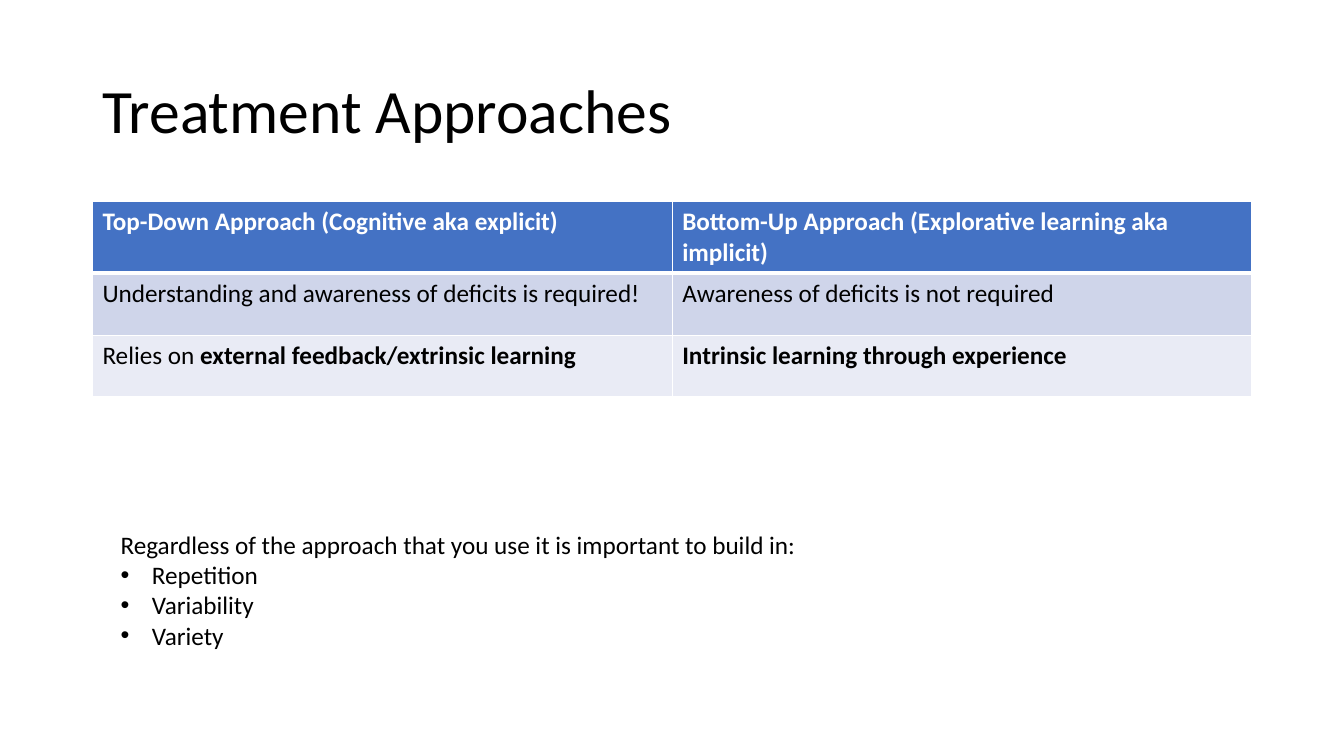
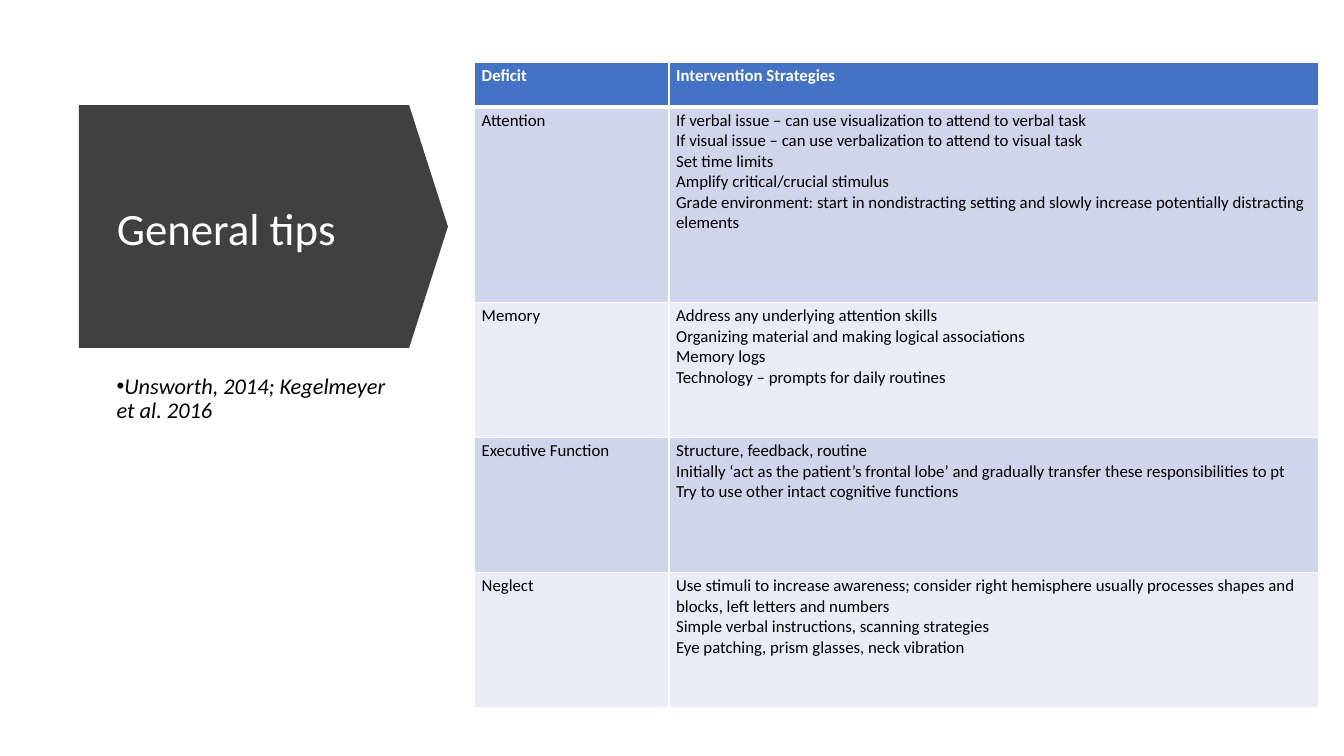
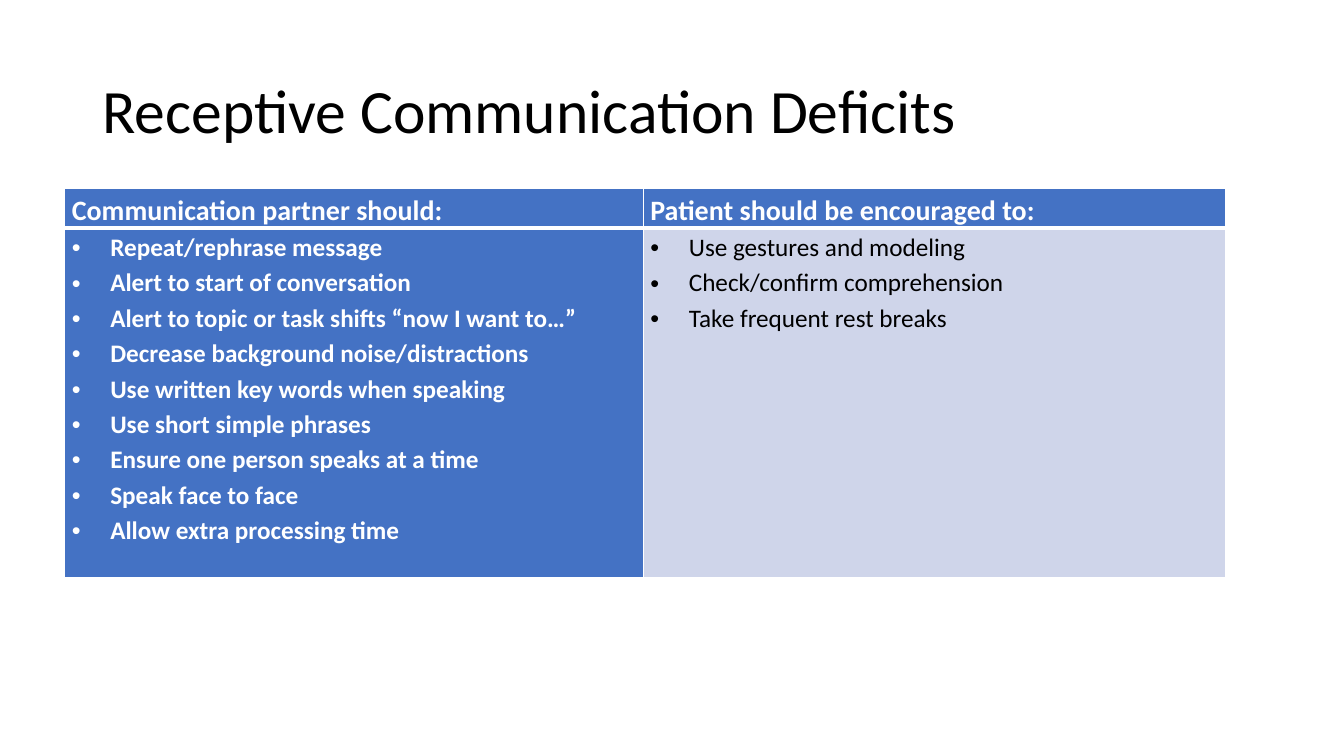
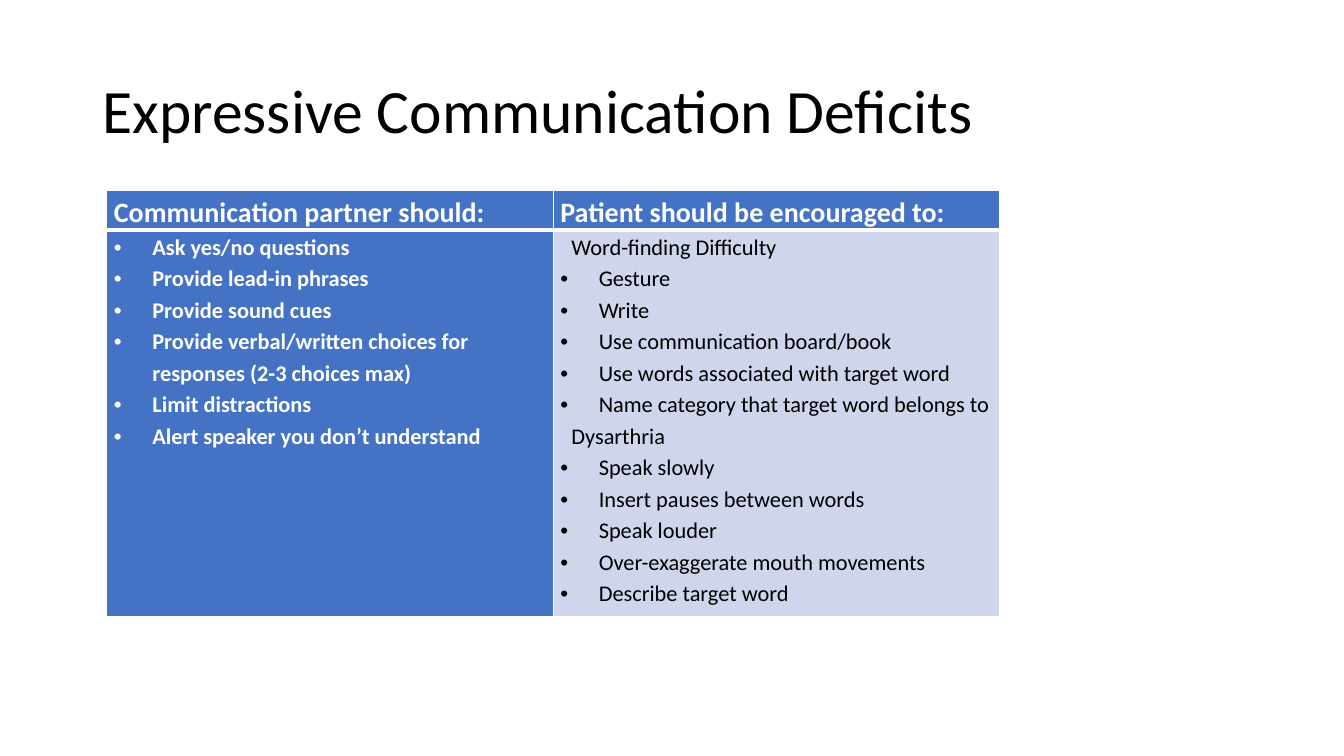
from lxml.etree import SubElement
from pptx import Presentation
from pptx.dml.color import RGBColor
from pptx.enum.shapes import MSO_SHAPE
from pptx.enum.text import MSO_ANCHOR, MSO_AUTO_SIZE, PP_ALIGN
from pptx.oxml import parse_xml
from pptx.oxml.ns import nsdecls, qn
from pptx.util import Cm, Pt

BLACK = RGBColor(0x00, 0x00, 0x00)
WHITE = RGBColor(0xFF, 0xFF, 0xFF)
CHARCOAL = RGBColor(0x40, 0x40, 0x40)
BLUE = RGBColor(0x44, 0x72, 0xC4)
BAND_DARK = RGBColor(0xCF, 0xD5, 0xEA)
BAND_LIGHT = RGBColor(0xE9, 0xEB, 0xF5)

FONT = "Calibri"
TITLE_BOX = (2.33, 1.01, 29.21, 3.68)
TITLE_ONLY = 5
COMPACT_MARGINS = (0.18, 0.09)
FLAT_MARGINS = (0.18, 0)
HANGING = (0.97, -0.97)
SUBHEADING = (0.28, 0)

APPROACHES = [
    ["Top-Down Approach (Cognitive aka explicit)",
     "Bottom-Up Approach (Explorative learning aka implicit)"],
    ["Understanding and awareness of deficits is required!",
     "Awareness of deficits is not required"],
    [[("Relies on ", False), ("external feedback/extrinsic learning", True)],
     [("Intrinsic learning through experience", True)]],
]

STRATEGIES = {
    "Attention": [
        "If verbal issue – can use visualization to attend to verbal task",
        "If visual issue – can use verbalization to attend to visual task",
        "Set time limits",
        "Amplify critical/crucial stimulus",
        "Grade environment: start in nondistracting setting and slowly increase "
        "potentially distracting elements",
    ],
    "Memory": [
        "Address any underlying attention skills",
        "Organizing material and making logical associations",
        "Memory logs",
        "Technology – prompts for daily routines",
    ],
    "Executive Function": [
        "Structure, feedback, routine",
        "Initially ‘act as the patient’s frontal lobe’ and gradually transfer "
        "these responsibilities to pt",
        "Try to use other intact cognitive functions",
    ],
    "Neglect": [
        "Use stimuli to increase awareness; consider right hemisphere usually "
        "processes shapes and blocks, left letters and numbers",
        "Simple verbal instructions, scanning strategies",
        "Eye patching, prism glasses, neck vibration",
    ],
}

RECEPTIVE_PARTNER = [
    "Repeat/rephrase message",
    "Alert to start of conversation",
    "Alert to topic or task shifts “now I want to…”",
    "Decrease background noise/distractions",
    "Use written key words when speaking",
    "Use short simple phrases",
    "Ensure one person speaks at a time",
    "Speak face to face",
    "Allow extra processing time",
]
RECEPTIVE_PATIENT = {
    "": ["Use gestures and modeling", "Check/confirm comprehension", "Take frequent rest breaks"],
}
EXPRESSIVE_PARTNER = [
    "Ask yes/no questions",
    "Provide lead-in phrases",
    "Provide sound cues",
    "Provide verbal/written choices for responses (2-3 choices max)",
    "Limit distractions",
    "Alert speaker you don’t understand",
]
EXPRESSIVE_PATIENT = {
    "Word-finding Difficulty": [
        "Gesture",
        "Write",
        "Use communication board/book",
        "Use words associated with target word",
        "Name category that target word belongs to",
    ],
    "Dysarthria": [
        "Speak slowly",
        "Insert pauses between words",
        "Speak louder",
        "Over-exaggerate mouth movements",
        "Describe target word",
    ],
}


def apply_format(target, values):
    for name, value in values.items():
        setattr(target, name, value)


def write_paragraph(paragraph, content, size, color=BLACK, bold=False, italic=False,
                    indent=None, bullet=False, **spacing):
    apply_format(paragraph, {"alignment": PP_ALIGN.LEFT, **spacing})
    runs = [(content, bold)] if isinstance(content, str) else content
    for text, run_bold in runs:
        run = paragraph.add_run()
        run.text = text
        apply_format(run.font, {"name": FONT, "size": Pt(size), "bold": run_bold, "italic": italic})
        run.font.color.rgb = color
    properties = paragraph._p.get_or_add_pPr()
    if indent:
        for name, length in zip(("marL", "indent"), indent):
            properties.set(name, str(Cm(length)))
    if bullet:
        SubElement(properties, qn("a:buFont")).set("typeface", "Arial")
        SubElement(properties, qn("a:buChar")).set("char", "•")


def write_text(frame, paragraphs, **style):
    for index, item in enumerate(paragraphs):
        paragraph = frame.paragraphs[0] if index == 0 else frame.add_paragraph()
        content, own_style = item if isinstance(item, tuple) else (item, {})
        write_paragraph(paragraph, content, **{**style, **own_style})


def add_titled_slide(presentation, title, box=TITLE_BOX, size=44, color=BLACK):
    slide = presentation.slides.add_slide(presentation.slide_layouts[TITLE_ONLY])
    placeholder = slide.shapes.title
    apply_format(placeholder, dict(zip(("left", "top", "width", "height"), map(Cm, box))))
    apply_format(placeholder.text_frame, {
        "vertical_anchor": MSO_ANCHOR.MIDDLE, "word_wrap": True, "auto_size": MSO_AUTO_SIZE.NONE})
    write_text(placeholder.text_frame, [title], size=size, color=color, line_spacing=0.9)
    return slide


def add_text(slide, box, paragraphs, **style):
    frame = slide.shapes.add_textbox(*map(Cm, box)).text_frame
    frame.word_wrap = True
    write_text(frame, paragraphs, **style)


def set_borders(cell, row_index):
    thick, thin = Pt(3), Pt(1)
    widths = {
        "lnL": thin,
        "lnR": thin,
        "lnT": thick if row_index == 1 else thin,
        "lnB": thick if row_index == 0 else thin,
    }
    properties = cell._tc.get_or_add_tcPr()
    for position, (side, width) in enumerate(widths.items()):
        properties.insert(position, parse_xml(
            f'<a:{side} {nsdecls("a")} w="{width}"><a:solidFill>'
            f'<a:srgbClr val="{WHITE}"/></a:solidFill></a:{side}>'))


def add_table(slide, corner, widths, heights, rows, size, header_style=None, body_style=None,
              margins=None, blue_first_column=False):
    box = (*corner, sum(widths), sum(heights))
    table = slide.shapes.add_table(len(heights), len(widths), *map(Cm, box)).table
    apply_format(table, {"first_row": False, "horz_banding": False})
    for column, width in zip(table.columns, widths):
        column.width = Cm(width)
    for row_index, (row, height, contents) in enumerate(zip(table.rows, heights, rows)):
        row.height = Cm(height)
        for column_index, (cell, content) in enumerate(zip(row.cells, contents)):
            is_header = row_index == 0
            is_blue = is_header or (blue_first_column and column_index == 0)
            cell.fill.solid()
            cell.fill.fore_color.rgb = BLUE if is_blue else (BAND_LIGHT, BAND_DARK)[row_index % 2]
            if margins:
                horizontal, vertical = map(Cm, margins)
                apply_format(cell, {"margin_left": horizontal, "margin_right": horizontal,
                                    "margin_top": vertical, "margin_bottom": vertical})
            set_borders(cell, row_index)
            style = {"size": size, "color": WHITE if is_blue else BLACK, "bold": is_blue}
            style.update((header_style if is_header else body_style) or {})
            is_runs = isinstance(content, list) and isinstance(content[0], tuple) \
                and isinstance(content[0][1], bool)
            paragraphs = [content] if isinstance(content, str) or is_runs else content
            write_text(cell.text_frame, paragraphs, **style)


def add_arrow_panel(slide, box, point_ratio):
    panel = slide.shapes.add_shape(MSO_SHAPE.PENTAGON, *map(Cm, box))
    panel.adjustments[0] = point_ratio
    panel.shadow.inherit = False
    panel.fill.solid()
    panel.fill.fore_color.rgb = CHARCOAL
    panel.line.fill.background()
    slide.shapes.title.element.addprevious(panel.element)


def bulleted(items):
    return [(item, {"indent": HANGING, "bullet": True}) for item in items]


def grouped(groups):
    paragraphs = []
    for heading, items in groups.items():
        if heading:
            paragraphs.append((heading, {"indent": SUBHEADING}))
        paragraphs += bulleted(items)
    return paragraphs


def build_approaches(presentation):
    slide = add_titled_slide(presentation, "Treatment Approaches")
    add_table(slide, (2.33, 5.08), [14.61] * 2, [1.77, 1.56, 1.56], APPROACHES, size=18)
    reminders = [(word, {"indent": (0.79, -0.79), "bullet": True})
                 for word in ("Repetition", "Variability", "Variety")]
    add_text(slide, (2.79, 13.21, 26.21, 3.33),
             ["Regardless of the approach that you use it is important to build in:", *reminders],
             size=18)


def build_tips(presentation):
    left, width = 2.69, 7.42
    slide = add_titled_slide(presentation, "General tips", (left, 3.35, width, 4.95), 32, WHITE)
    add_arrow_panel(slide, (1.99, 2.65, 9.3, 6.12), 0.16)
    add_text(slide, (left, 9.32, width, 6.73), ["Unsworth, 2014; Kegelmeyer et al. 2016"],
             size=16, italic=True, indent=(0, -0.64), bullet=True,
             line_spacing=0.9, space_after=Pt(6))
    rows = [("Deficit", "Intervention Strategies"), *STRATEGIES.items()]
    add_table(slide, (11.96, 1.57), [4.9, 16.36], [1.12, 4.93] + [3.4] * 3, rows,
              size=12, margins=COMPACT_MARGINS)


def build_communication(presentation, title, corner, widths, body_height, size, partner, patient):
    slide = add_titled_slide(presentation, title)
    rows = [("Communication partner should:", "Patient should be encouraged to:"),
            (bulleted(partner), grouped(patient))]
    add_table(slide, corner, widths, [0.97, body_height], rows, size=size,
              header_style={"size": 20, "line_spacing": 1.15, "space_after": Pt(10)},
              body_style={"line_spacing": 1.15},
              margins=FLAT_MARGINS, blue_first_column=True)


def main():
    presentation = Presentation()
    apply_format(presentation, {"slide_width": Cm(33.87), "slide_height": Cm(19.05)})
    build_approaches(presentation)
    build_tips(presentation)
    build_communication(presentation, "Receptive Communication Deficits", (1.63, 4.75),
                        [14.58, 14.68], 8.81, 18, RECEPTIVE_PARTNER, RECEPTIVE_PATIENT)
    build_communication(presentation, "Expressive Communication Deficits", (2.69, 4.8),
                        [11.25] * 2, 9.75, 16, EXPRESSIVE_PARTNER, EXPRESSIVE_PATIENT)
    presentation.save("out.pptx")


if __name__ == "__main__":
    main()
